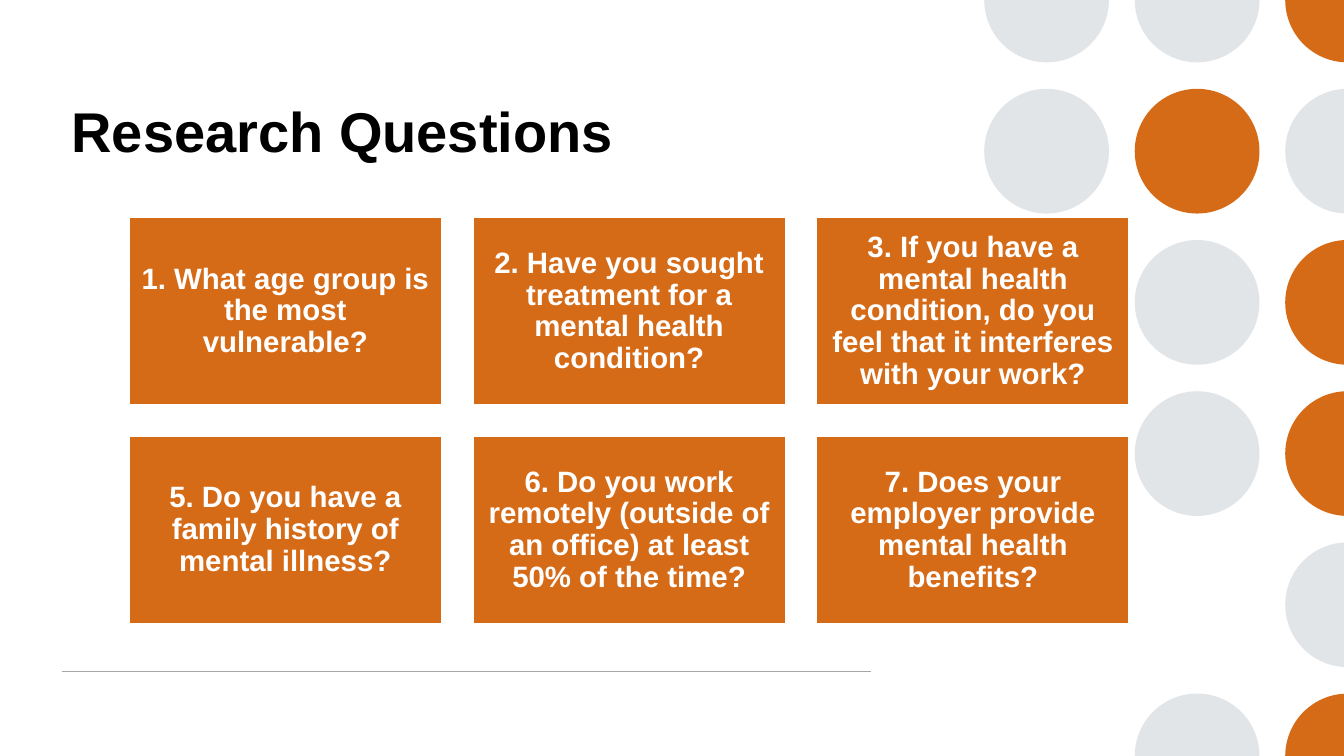
from math import asin, cos, degrees, radians, sin

from lxml.etree import Element, SubElement
from pptx import Presentation
from pptx.dml.color import RGBColor
from pptx.enum.shapes import MSO_CONNECTOR as Connector, MSO_SHAPE as Shape
from pptx.enum.text import MSO_ANCHOR as Anchor, PP_ALIGN as Align
from pptx.oxml.ns import qn
from pptx.util import Inches, Pt

WIDTH, HEIGHT = Inches(13.33), Inches(7.5)
FONT = "Arial"
ORANGE, GREY, WHITE, BLACK, RULE = "D56A17", "E2E5E8", "FFFFFF", "000000", "A6A6A6"

CIRCLE_ROWS = ["GGO", "GOG", " GO", " GO", "  G", " GO"]
CIRCLE_COLORS = {"G": GREY, "O": ORANGE}
CIRCLE_LEFT, CIRCLE_PITCH, CIRCLE_SIZE = 77.87, 11.2, 16.5
CARD_LEFT, CARD_TOP = 9.6, 28.8
CARD_WIDTH, CARD_HEIGHT = 23.26, 24.8
CARD_PITCH_X, CARD_PITCH_Y = 25.58, 28.93
CARD_COLUMNS = 3
QUESTIONS = [
    "1. What age group is the most vulnerable?",
    "2. Have you sought treatment for a mental health condition?",
    "3. If you have a mental health condition, do you feel that it interferes with your work?",
    "5. Do you have a family history of mental illness?",
    "6. Do you work remotely (outside of an office) at least 50% of the time?",
    "7. Does your employer provide mental health benefits?",
]


def across(percent):
    return round(WIDTH * percent / 100)


def down(percent):
    return round(HEIGHT * percent / 100)


def color(value):
    return RGBColor.from_string(value)


def paint(shape, fill, line=None):
    shape.shadow.inherit = False
    shape.fill.solid()
    shape.fill.fore_color.rgb = color(fill)
    if line:
        shape.line.color.rgb = color(line)
        shape.line.width = Pt(1)
    else:
        shape.line.fill.background()


def add_run(paragraph, text, size, text_color):
    run = paragraph.add_run()
    run.text = text
    run.font.name = FONT
    run.font.size = Pt(size)
    run.font.bold = True
    run.font.color.rgb = color(text_color)


def add_cut_circle(slide, center_x, center_y, radius):
    top, bottom = center_y < radius, center_y + radius > HEIGHT
    right = center_x + radius > WIDTH
    tilt = degrees(asin((center_x - WIDTH) / radius)) if right else 0
    start = 180 if bottom else 90 + tilt if right else 0
    end = 180 if top else 270 - tilt if right else 360
    swing = (end - start) / 2
    angles = [start, start + swing, end]
    points = [(round(center_x + radius * cos(radians(angle))),
               round(center_y + radius * sin(radians(angle)))) for angle in angles]
    if right and (top or bottom):
        points.append((WIDTH, 0 if top else HEIGHT))
    builder = slide.shapes.build_freeform(*points[0])
    builder.add_line_segments(points[1:], close=True)
    circle = builder.convert_to_shape()
    segments = list(circle.element.spPr.iter(qn("a:lnTo")))
    for segment, angle in zip(segments, angles[:2]):
        arc = Element(qn("a:arcTo"), wR=str(radius), hR=str(radius),
                      stAng=str(round(angle * 60000)), swAng=str(round(swing * 60000)))
        segment.getparent().replace(segment, arc)
    return circle


def add_circle(slide, center_x, center_y, fill):
    radius = down(CIRCLE_SIZE / 2)
    if center_x + radius <= WIDTH and radius <= center_y <= HEIGHT - radius:
        circle = slide.shapes.add_shape(
            Shape.OVAL, center_x - radius, center_y - radius, 2 * radius, 2 * radius)
    else:
        circle = add_cut_circle(slide, center_x, center_y, radius)
    paint(circle, fill)


def add_circle_grid(slide):
    for row, pattern in enumerate(CIRCLE_ROWS):
        for column, key in enumerate(pattern):
            if key in CIRCLE_COLORS:
                add_circle(slide, across(CIRCLE_LEFT + column * CIRCLE_PITCH),
                           down(row * 20), CIRCLE_COLORS[key])


def add_rule(slide, left, right, top):
    rule = slide.shapes.add_connector(
        Connector.STRAIGHT, across(left), down(top), across(right), down(top))
    rule.line.color.rgb = color(RULE)
    rule.line.width = Pt(1)
    SubElement(rule.element.spPr, qn("a:effectLst"))


def add_title(slide, text):
    box = slide.shapes.add_textbox(across(4.65), down(11.2), across(60.15), down(18.53))
    frame = box.text_frame
    frame.word_wrap = True
    frame.vertical_anchor = Anchor.TOP
    frame.margin_left = Inches(0.09)
    frame.margin_top = Inches(0.12)
    add_run(frame.paragraphs[0], text, 40, BLACK)


def add_card(slide, index, question):
    row, column = divmod(index, CARD_COLUMNS)
    card = slide.shapes.add_shape(
        Shape.RECTANGLE,
        across(CARD_LEFT + column * CARD_PITCH_X), down(CARD_TOP + row * CARD_PITCH_Y),
        across(CARD_WIDTH), down(CARD_HEIGHT))
    paint(card, ORANGE, WHITE)
    frame = card.text_frame
    frame.word_wrap = True
    frame.vertical_anchor = Anchor.MIDDLE
    frame.margin_left = frame.margin_right = Inches(0.09)
    frame.margin_top = frame.margin_bottom = Inches(0.09)
    paragraph = frame.paragraphs[0]
    paragraph.alignment = Align.CENTER
    paragraph.line_spacing = 0.9
    paragraph.space_after = Pt(9)
    add_run(paragraph, question, 21, WHITE)


def main():
    presentation = Presentation()
    presentation.slide_width, presentation.slide_height = WIDTH, HEIGHT
    slide = presentation.slides.add_slide(presentation.slide_layouts[6])
    add_circle_grid(slide)
    add_rule(slide, 4.65, 64.8, 88.8)
    add_title(slide, "Research Questions")
    for index, question in enumerate(QUESTIONS):
        add_card(slide, index, question)
    presentation.save("out.pptx")


if __name__ == "__main__":
    main()
